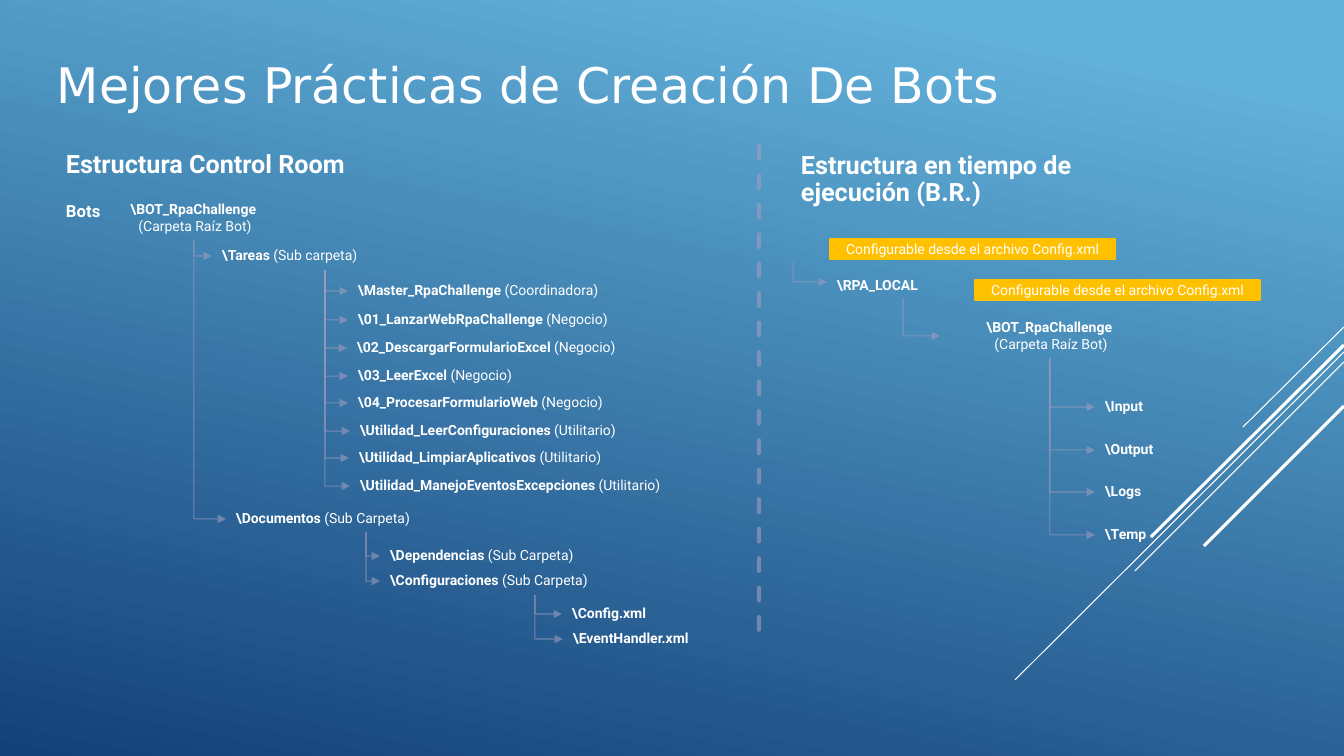
from lxml import etree
from pptx import Presentation
from pptx import util as u
from pptx.dml.color import RGBColor
from pptx.enum import dml, shapes, text
from pptx.oxml.ns import qn

PX = 914400 / 100.8


def px(n):
    return u.Emu(round(n * PX))


def rgb(value):
    return RGBColor.from_string(value)


class Deck:
    """Holds the style and the current slide and draws each kind of element."""

    FONT, TITLE_FONT = "Roboto", "DejaVu Sans"
    WHITE, BRANCH, BADGE = "FFFFFF", "A29DBE", "FFC000"

    def __init__(self, width, height):
        self.prs = Presentation()
        self.prs.slide_width, self.prs.slide_height = px(width), px(height)
        self.slide = self.prs.slides.add_slide(self.prs.slide_layouts[6])

    def background(self, stops, angle):
        fill = self.slide.background.fill
        fill.gradient()
        fill.gradient_angle = angle
        for stop, (position, color) in zip(fill.gradient_stops, stops):
            stop.position = position
            stop.color.rgb = rgb(color)

    def line(self, x1, y1, x2, y2, color=WHITE, width=0.75, alpha=None,
             kind=shapes.MSO_CONNECTOR.STRAIGHT):
        sp = self.slide.shapes.add_connector(kind, px(x1), px(y1), px(x2), px(y2))
        sp.line.color.rgb = rgb(color)
        sp.line.width = u.Pt(width)
        if alpha:
            clr = next(sp._element.iter(qn("a:srgbClr")))
            etree.SubElement(clr, qn("a:alpha"), val=str(alpha * 1000))
        etree.SubElement(sp._element.spPr, qn("a:effectLst"))
        return sp

    def divider(self, x, top, bottom):
        sp = self.line(x, top, x, bottom, self.BRANCH, 3, 60)
        sp.line.dash_style = dml.MSO_LINE.DASH
        sp.line._get_or_add_ln().set("cap", "rnd")

    def elbow(self, x1, y1, x2, y2):
        cx, cy = (x1 + x2) / 2, (y1 + y2) / 2
        dx, dy = (x2 - x1) / 2, (y2 - y1) / 2
        sp = self.line(cx + dy, cy - dx, cx - dy, cy + dx, self.BRANCH, 0.75, 60,
                       shapes.MSO_CONNECTOR.ELBOW)
        sp.rotation = 270
        sp._element.spPr.find(qn("a:prstGeom")).set("prst", "bentConnector2")
        etree.SubElement(sp.line._get_or_add_ln(), qn("a:tailEnd"), type="triangle")

    def fill_text(self, tf, paragraphs, size, font=FONT, align=None, spacing=None):
        tf.word_wrap = True
        for i, (bold, plain) in enumerate(paragraphs):
            p = tf.add_paragraph() if i else tf.paragraphs[0]
            p.alignment, p.line_spacing = align, spacing
            p.font.name, p.font.size = font, u.Pt(size)
            p.font.color.rgb = rgb(self.WHITE)
            p.font.bold = bool(bold)
            if bold:
                p.add_run().text = bold
            if plain:
                r = p.add_run()
                r.text = plain
                if bold:
                    r.font.bold = False

    def label(self, x, y, w, h, paragraphs, size=10, **style):
        sp = self.slide.shapes.add_textbox(px(x), px(y), px(w), px(h))
        self.fill_text(sp.text_frame, paragraphs, size, **style)

    def badge(self, x, y, w, h, caption):
        sp = self.slide.shapes.add_shape(
            shapes.MSO_SHAPE.RECTANGLE, px(x), px(y), px(w), px(h))
        sp.shadow.inherit = False
        sp.fill.solid()
        sp.fill.fore_color.rgb = sp.line.color.rgb = rgb(self.BADGE)
        sp.line.width = u.Pt(1.25)
        sp.text_frame.vertical_anchor = text.MSO_ANCHOR.MIDDLE
        self.fill_text(sp.text_frame, [("", caption)], 10, align=text.PP_ALIGN.CENTER)

    def root(self, x, y, w):
        self.label(x, y, w, 44, [("\\BOT_RpaChallenge ", ""), ("", "(Carpeta Raíz Bot)")],
                   align=text.PP_ALIGN.CENTER)

    def branch(self, x, y, folders):
        for left, middle, width, name, note in folders:
            self.elbow(x, y, left, middle)
            self.label(left, middle - 14, width, 27, [(name, note)])


def main():
    deck = Deck(1344, 756)
    deck.background([(0.1, "62B1DA"), (1, "134077")], 258)

    for x1, y1, x2, y2, width in [
        (1344, 327, 1243, 427, 0.75),
        (1344, 352, 1015, 680, 0.75),
        (1344, 362, 1135, 571, 0.75),
        (1344, 345, 1151, 537, 2.25),
        (1344, 406, 1204, 546, 2.25),
    ]:
        deck.line(x1, y1, x2, y2, width=width)

    deck.label(47, 50, 976, 70, [("", "Mejores Prácticas de Creación De Bots")], 35,
               font=deck.TITLE_FONT)
    deck.divider(759, 146, 645)

    deck.label(56, 147, 539, 47, [("Estructura Control Room", "")], 18, spacing=0.9)
    deck.label(56, 196, 64, 30, [("Bots", "")], 12)
    deck.root(89, 196, 212)
    deck.branch(194, 240, [
        (212, 256, 226, "\\Tareas ", "(Sub carpeta)"),
        (226, 519, 280, "\\Documentos ", "(Sub Carpeta)"),
    ])
    deck.branch(325, 270, [
        (348, 291, 368, "\\Master_RpaChallenge ", "(Coordinadora)"),
        (348, 320, 363, "\\01_LanzarWebRpaChallenge ", "(Negocio)"),
        (347, 348, 363, "\\02_DescargarFormularioExcel ", "(Negocio)"),
        (348, 376, 363, "\\03_LeerExcel ", "(Negocio)"),
        (348, 403, 363, "\\04_ProcesarFormularioWeb ", "(Negocio)"),
        (350, 431, 339, "\\Utilidad_LeerConfiguraciones", " (Utilitario)"),
        (349, 458, 347, "\\Utilidad_LimpiarAplicativos ", "(Utilitario)"),
        (350, 486, 402, "\\Utilidad_ManejoEventosExcepciones ", "(Utilitario)"),
    ])
    deck.branch(366, 532, [
        (380, 556, 310, "\\Dependencias ", "(Sub Carpeta)"),
        (380, 581, 310, "\\Configuraciones ", "(Sub Carpeta)"),
    ])
    deck.branch(535, 595, [
        (562, 614, 125, "\\Config.xml", ""),
        (563, 639, 185, "\\EventHandler.xml", ""),
    ])

    deck.label(791, 148, 353, 91, [("Estructura en tiempo de ejecución (B.R.)", "")], 18,
               spacing=0.9)
    deck.elbow(793, 262, 827, 282)
    deck.label(827, 272, 152, 27, [("\\RPA_LOCAL", "")])
    deck.elbow(903, 299, 940, 336)
    deck.root(940, 314, 222)
    deck.branch(1050, 358, [
        (1095, middle, 137, name, "")
        for middle, name in [(407, "\\Input"), (450, "\\Output"),
                             (492, "\\Logs"), (535, "\\Temp")]
    ])
    for x, y in [(975, 280), (830, 239)]:
        deck.badge(x, y, 285, 20, "Configurable desde el archivo Config.xml")

    deck.prs.save("out.pptx")


if __name__ == "__main__":
    main()
